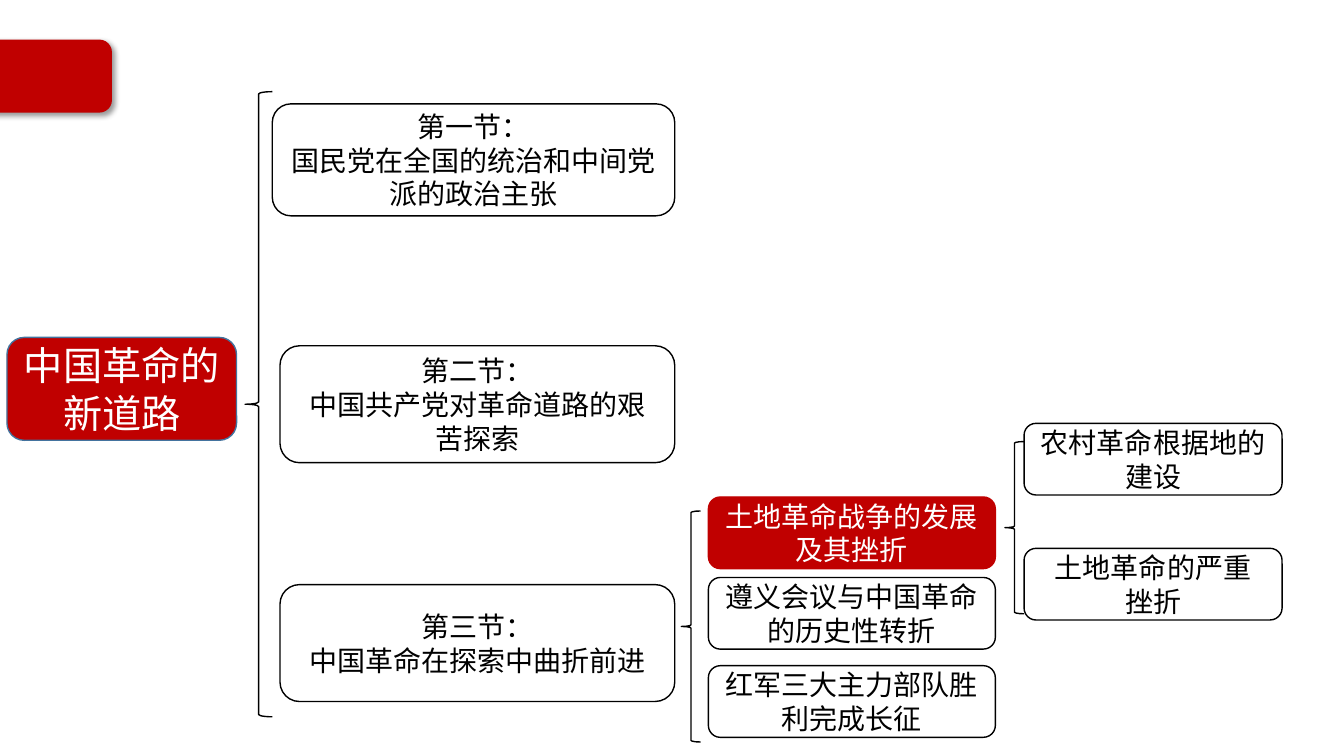
from dataclasses import dataclass

from lxml import etree
from pptx import Presentation
from pptx.dml.color import RGBColor
from pptx.enum.shapes import MSO_SHAPE
from pptx.enum.text import MSO_ANCHOR, PP_ALIGN
from pptx.oxml.ns import qn
from pptx.util import Pt

ROUNDED = MSO_SHAPE.ROUNDED_RECTANGLE
BRACE = MSO_SHAPE.LEFT_BRACE
MIDDLE = MSO_ANCHOR.MIDDLE
CENTER = PP_ALIGN.CENTER


@dataclass(frozen=True)
class Theme:
    font: str = "Noto Sans CJK SC"
    red: str = "C00000"
    blue: str = "43739E"
    black: str = "000000"
    white: str = "FFFFFF"
    title_size: int = 28
    body_size: int = 20
    line_width: int = 1


class MindMap:
    def __init__(self, slide, theme):
        self.slide = slide
        self.theme = theme

    def outline(self, kind, box, line, fill=None):
        shape = self.slide.shapes.add_shape(kind, *(Pt(value) for value in box))
        shape.shadow.inherit = False
        if fill:
            shape.fill.solid()
            shape.fill.fore_color.rgb = RGBColor.from_string(fill)
        else:
            shape.fill.background()
        shape.line.color.rgb = RGBColor.from_string(line)
        shape.line.width = Pt(self.theme.line_width)
        return shape

    def brace(self, *box):
        self.outline(BRACE, box, self.theme.black)

    def tab(self, *box):
        shape = self.outline(ROUNDED, box, self.theme.red, self.theme.red)
        effects = shape._element.spPr.find(qn("a:effectLst"))
        shadow = etree.SubElement(
            effects, qn("a:outerShdw"), blurRad=str(Pt(4)), dist=str(Pt(3)),
            dir=str(45 * 60000), algn="tl", rotWithShape="0")
        color = etree.SubElement(shadow, qn("a:srgbClr"), val=self.theme.black)
        etree.SubElement(color, qn("a:alpha"), val="40000")

    def node(self, box, lines, fill=None, line=None, size=None):
        theme = self.theme
        shape = self.outline(ROUNDED, box, line or theme.black, fill)
        frame = shape.text_frame
        frame.word_wrap = True
        frame.vertical_anchor = MIDDLE
        frame.text = "\n".join(lines)
        text_color = theme.white if fill == theme.red else theme.black
        for paragraph in frame.paragraphs:
            paragraph.alignment = CENTER
            font = paragraph.font
            font.size = Pt(size or theme.body_size)
            font.color.rgb = RGBColor.from_string(text_color)
            font.name = theme.font
            # East Asian text takes its own typeface element
            properties = paragraph._p.pPr.find(qn("a:defRPr"))
            etree.SubElement(properties, qn("a:ea"), typeface=theme.font)


def main():
    presentation = Presentation()
    presentation.slide_width = Pt(960)
    presentation.slide_height = Pt(540)
    slide = presentation.slides.add_slide(presentation.slide_layouts[6])
    theme = Theme()
    mind_map = MindMap(slide, theme)

    # Corner tab and chapter
    mind_map.tab(-13, 28.8, 92.5, 51.2)
    mind_map.node((5, 241, 164, 73.5), ["中国革命的新道路"],
                  theme.red, theme.blue, theme.title_size)

    # Sections
    mind_map.brace(175, 65.5, 19.5, 446.5)
    sections = [
        ((194.5, 74.2, 287.5, 80), "第一节：", "国民党在全国的统治和中间党派的政治主张", None),
        ((200, 247, 282, 83.5), "第二节：", "中国共产党对革命道路的艰苦探索", theme.white),
        ((200, 417.6, 282, 83.5), "第三节：", "中国革命在探索中曲折前进", theme.white),
    ]
    for box, number, title, fill in sections:
        mind_map.node(box, [number, title], fill)

    # Topics of the third section
    mind_map.brace(486.7, 365, 13.7, 165)
    topics = [
        (355, ["土地革命战争的发展", "及其挫折"], theme.red, theme.red),
        (412.5, ["遵义会议与中国革命的历史性转折"], None, None),
        (475.5, ["红军三大主力部队胜利完成长征"], None, None),
    ]
    for top, lines, fill, line in topics:
        mind_map.node((506, top, 205, 51.2), lines, fill, line)

    # Details of the highlighted topic
    mind_map.brace(717.8, 315.4, 13.7, 123)
    details = [
        (302.4, ["农村革命根据地的建设"]),
        (391.7, ["土地革命的严重", "挫折"]),
    ]
    for top, lines in details:
        mind_map.node((731.5, top, 184.3, 51.2), lines)

    presentation.save("out.pptx")


if __name__ == "__main__":
    main()
